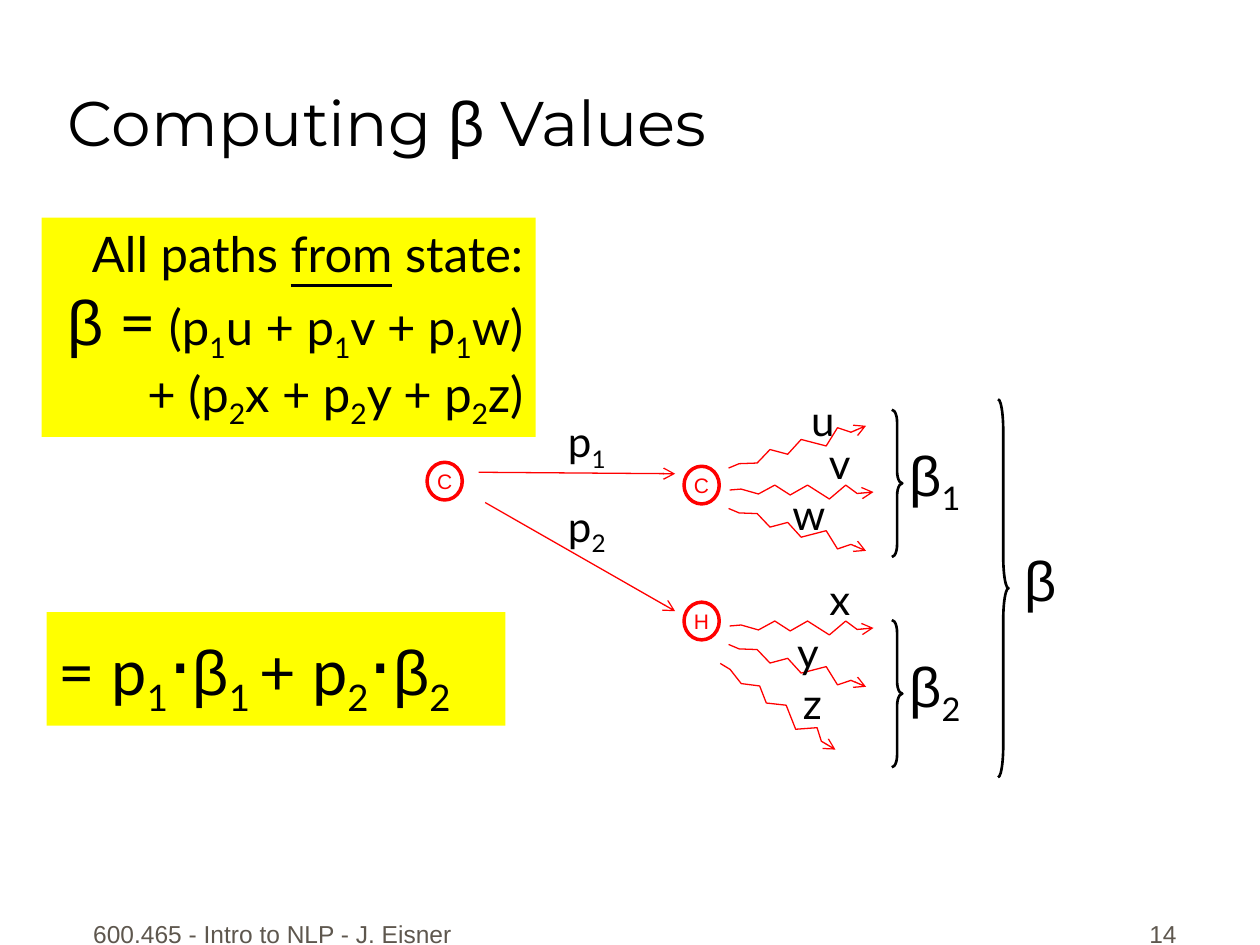
from lxml.etree import SubElement
from pptx import Presentation
from pptx.dml.color import RGBColor
from pptx.enum.shapes import MSO_CONNECTOR, MSO_SHAPE
from pptx.enum.text import MSO_ANCHOR, PP_ALIGN
from pptx.oxml.ns import qn
from pptx.util import Cm, Pt

BLACK, RED, YELLOW, GRAY = "000000", "FF0000", "FFFF00", "5E574E"
color = RGBColor.from_string

presentation = Presentation()
presentation.slide_width, presentation.slide_height = Cm(25.4), Cm(19.05)
slide = presentation.slides.add_slide(presentation.slide_layouts[6])
shapes = slide.shapes


def write(shape, lines, size, align=PP_ALIGN.CENTER, anchor=MSO_ANCHOR.TOP,
          font="Lato", ink=BLACK, wrap=False):
    """Write lines of pieces; "_" starts a subscript, a pair sets its own size."""
    frame = shape.text_frame
    frame.word_wrap, frame.vertical_anchor = wrap, anchor
    paragraph = frame.paragraphs[0]
    paragraph.alignment = align
    for number, pieces in enumerate(lines):
        if number:
            paragraph.add_line_break()
        for piece in pieces:
            text, points = piece if isinstance(piece, tuple) else (piece, size)
            run = paragraph.add_run()
            run.text = text.lstrip("_")
            run.font.size = Pt(points)
            run.font.name = "Arial" if text in ("β", "⋅") else font
            run.font.color.rgb = color(ink)
            if text.startswith("_"):
                run.font._element.set("baseline", "-25000")
    return paragraph


def style_line(shape, ink, width, arrow=False):
    """Give a line its colour and width, no shadow, and an open arrowhead."""
    shape.line.color.rgb = color(ink)
    shape.line.width = Pt(width)
    properties = shape._element.spPr
    if arrow:
        SubElement(properties.find(qn("a:ln")), qn("a:tailEnd"), type="arrow")
    if properties.find(qn("a:effectLst")) is None:
        SubElement(properties, qn("a:effectLst"))


# Title
title = shapes.add_textbox(Cm(1.12), Cm(0.15), Cm(23.65), Cm(3.18))
write(title, [["Computing ", "β", " Values"]], 36, PP_ALIGN.LEFT,
      MSO_ANCHOR.BOTTOM, "Montserrat", wrap=True)

# Footer and slide number
for left, width, text, align in [
    (1.47, 8.05, "600.465 - Intro to NLP - J. Eisner", PP_ALIGN.CENTER),
    (18.69, 5.28, "14", PP_ALIGN.RIGHT),
]:
    footer = shapes.add_textbox(Cm(left), Cm(17.98), Cm(width), Cm(1.27))
    write(footer, [[text]], 14, align, MSO_ANCHOR.BOTTOM, "Arial", GRAY, True)

# Yellow formula boxes
formulas = []
for left, top, width, height in [(0.84, 4.39, 9.96, 4.42), (0.94, 12.34, 9.25, 2.29)]:
    box = shapes.add_shape(MSO_SHAPE.RECTANGLE, Cm(left), Cm(top), Cm(width), Cm(height))
    box.shadow.inherit = False
    box.fill.solid()
    box.fill.fore_color.rgb = color(YELLOW)
    box.line.fill.background()
    formulas.append(box)

paragraph = write(formulas[0], [
    ["All paths ", "from", " state:"],
    [("β", 36), (" =", 36), " (p", "_1", "u + p", "_1", "v + p", "_1", "w)"],
    ["+ (p", "_2", "x + p", "_2", "y + p", "_2", "z)"],
], 28, PP_ALIGN.RIGHT)
paragraph.runs[1].font.underline = True
write(formulas[1], [["= p", "_1", ("⋅", 44), "β", "_1 ", "+ p", "_2", ("⋅", 44), "β", "_2"]],
      36, PP_ALIGN.LEFT, wrap=True)

# States
for left, top, name in [(8.61, 9.32, "C"), (13.79, 9.4, "C"), (13.79, 12.14, "H")]:
    state = shapes.add_shape(MSO_SHAPE.OVAL, Cm(left), Cm(top), Cm(0.71), Cm(0.76))
    state.shadow.inherit = False
    state.fill.background()
    style_line(state, RED, 2)
    write(state, [[name]], 12, anchor=MSO_ANCHOR.MIDDLE, font="Arial", ink=RED)

# Transitions
for x1, y1, x2, y2 in [(9.65, 9.52, 13.61, 9.55), (9.78, 10.13, 13.61, 12.32)]:
    transition = shapes.add_connector(MSO_CONNECTOR.STRAIGHT, Cm(x1), Cm(y1), Cm(x2), Cm(y2))
    style_line(transition, RED, 0.75, arrow=True)

# Zigzag paths: one outline, turned and mirrored
ZIGZAG_HEIGHT = 0.28
ZIGZAG = [(0, 0.1), (0.23, 0.08), (0.58, 0.18), (0.91, 0), (1.22, 0.2),
          (1.57, 0), (2.01, 0.28), (2.34, 0), (2.57, 0.17), (2.9, 0.14)]
for left, top, rotation, mirrored in [
    (14.63, 8.89, -17.9, False), (14.71, 9.78, 0, False), (14.63, 10.52, 17.9, True),
    (14.71, 12.52, 0, False), (14.63, 13.26, 17.9, True), (14.22, 14.12, 36, False),
]:
    points = [(Cm(left + x), Cm(top + (ZIGZAG_HEIGHT - y if mirrored else y)))
              for x, y in ZIGZAG]
    builder = shapes.build_freeform(*points[0])
    builder.add_line_segments(points[1:], close=False)
    zigzag = builder.convert_to_shape()
    zigzag.shadow.inherit = False
    zigzag.fill.background()
    zigzag.rotation = rotation
    style_line(zigzag, RED, 0.75, arrow=True)

# Braces
for left, top, height in [(17.98, 8.26, 2.97), (17.98, 12.5, 2.97), (20.12, 8.05, 7.62)]:
    brace = shapes.add_shape(MSO_SHAPE.RIGHT_BRACE, Cm(left), Cm(top), Cm(0.21), Cm(height))
    brace.adjustments[0] = height / 12 / 0.21
    brace.shadow.inherit = False
    brace.fill.background()
    style_line(brace, BLACK, 1.5)

# Labels
for left, top, width, height, size, pieces in [
    (11.18, 8.26, 1.3, 1.42, 24, ["p", "_1"]),
    (11.18, 9.96, 1.3, 1.42, 24, ["p", "_2"]),
    (16.08, 7.82, 1.02, 1.27, 24, ["u"]),
    (16.46, 8.69, 0.94, 1.27, 24, ["v"]),
    (15.72, 9.73, 1.17, 1.27, 24, ["w"]),
    (16.46, 11.43, 0.94, 1.27, 24, ["x"]),
    (15.82, 12.5, 0.94, 1.27, 24, ["y"]),
    (15.93, 13.54, 0.89, 1.27, 24, ["z"]),
    (18.03, 8.76, 1.63, 1.6, 32, ["β", "_1"]),
    (18.03, 13, 1.63, 1.6, 32, ["β", "_2"]),
    (20.37, 10.87, 1.22, 1.6, 32, ["β"]),
]:
    label = shapes.add_textbox(Cm(left), Cm(top), Cm(width), Cm(height))
    write(label, [pieces], size)

presentation.save("out.pptx")
